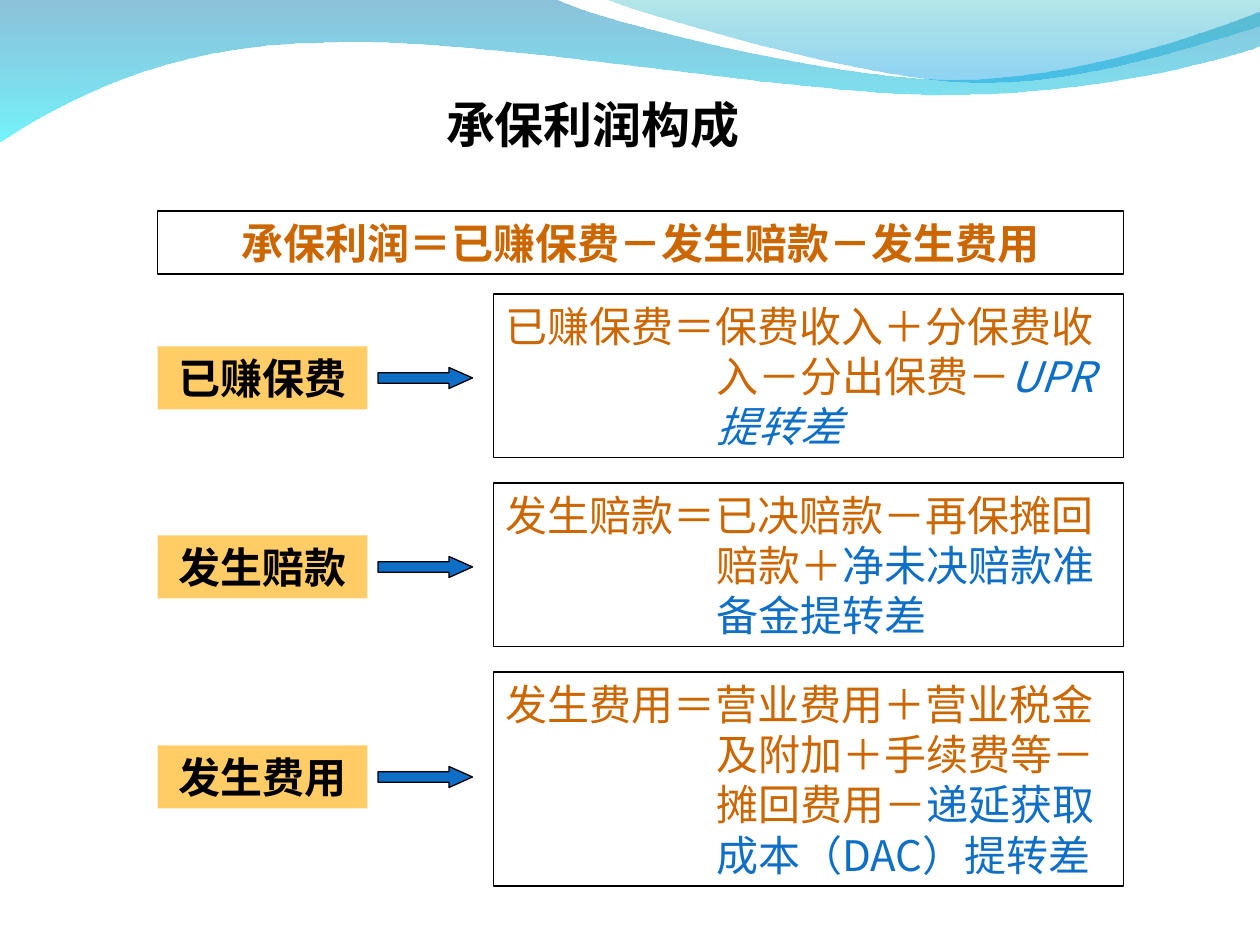
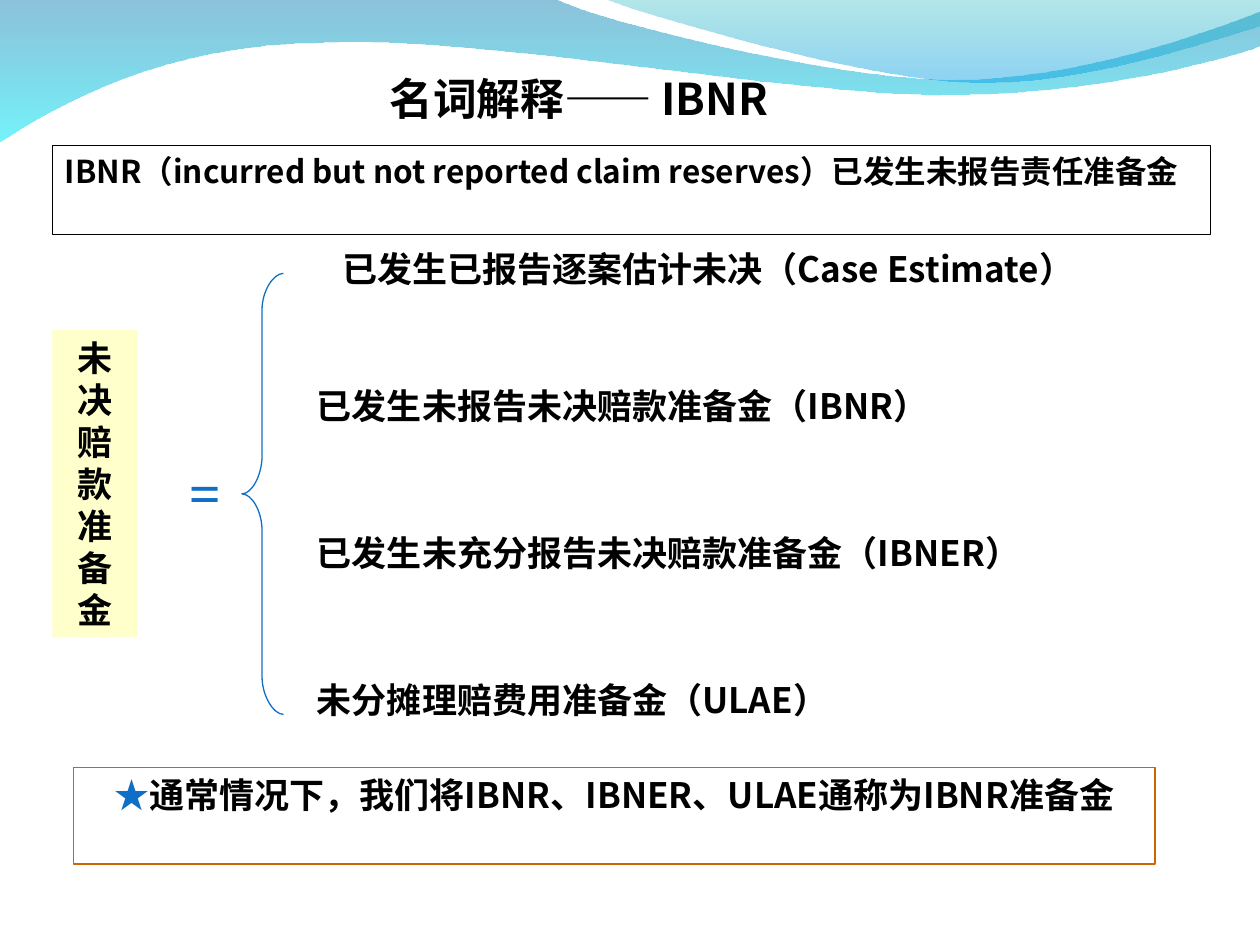
from lxml.etree import Element, SubElement
from pptx import Presentation
from pptx.dml.color import RGBColor
from pptx.enum.shapes import MSO_SHAPE
from pptx.enum.text import MSO_ANCHOR, PP_ALIGN
from pptx.oxml.ns import qn
from pptx.util import Inches, Pt

COLORS = {
    "black": "000000", "white": "FFFFFF", "orange": "CC6600", "blue": "0F6FC6",
    "amber": "FFCC66", "cream": "FFFFCC", "deep": "0079AF", "aqua": "00EBF8",
    "teal": "00ADB6", "sky": "009BE5",
}
FONT = "Noto Sans CJK SC"
WIDTH, HEIGHT = Inches(10), Inches(7.5)
COLUMNS, ROWS = 120, 90

LONG_WAVE = [
    [(0, -0.1)], [(44, -0.1)],
    [(47.6, 1.7), (66.4, 6.3), (75.8, 6.3)],
    [(85.3, 6.3), (95.8, 2.6), (100, 0.9)],
    [(100.1, 3.6)],
    [(98.3, 4.4), (87, 7.6), (74.6, 7.5)],
    [(62.2, 7.5), (38.2, 2.8), (25.7, 3.4)],
    [(12.9, 3.5), (4.6, 8.3), (-0.1, 11.3)],
]
SHORT_WAVE = [
    [(47.9, -0.1)],
    [(50.9, 1.1), (68.2, 6.2), (76.9, 6.5)],
    [(85.6, 6.9), (96.1, 3.2), (100, 2.1)],
    [(100, 0)],
]
BRACE = [
    [(22.5, 21.7)],
    [(21.7, 21.7), (20.8, 23.1), (20.8, 24.6)], [(20.8, 36.2)],
    [(20.8, 37.7), (20, 39.2), (19.2, 39.2)],
    [(20, 39.2), (20.8, 40.6), (20.8, 42.1)], [(20.8, 53.7)],
    [(20.8, 55.2), (21.7, 56.7), (22.5, 56.7)],
]


def color(name):
    return RGBColor.from_string(COLORS[name])


def write(box, text, size=24, font=FONT, ink="black", bold=True,
          align=PP_ALIGN.LEFT, anchor=MSO_ANCHOR.TOP, side=0.1, hanging=0):
    frame = box.text_frame
    frame.word_wrap = True
    frame.vertical_anchor = anchor
    frame.margin_left = frame.margin_right = Inches(side)
    frame.margin_top = Inches(0.05)
    frame.margin_bottom = Inches(0.05 if anchor == MSO_ANCHOR.TOP else 0)
    para = frame.paragraphs[0]
    para.alignment = align
    para.line_spacing = Pt(1.2 * size)
    if hanging:
        properties = para._p.get_or_add_pPr()
        properties.set("marL", str(hanging))
        properties.set("indent", str(-hanging))
    parts = [(text, ink, False)] if isinstance(text, str) else text
    for words, tint, slanted in parts:
        span = para.add_run()
        span.text = words
        span.font.size = Pt(size)
        span.font.bold = bold
        span.font.italic = slanted
        span.font.color.rgb = color(tint)
        span.font.name = font
        SubElement(span._r.get_or_add_rPr(), qn("a:ea"), typeface=font)


class SlideMaker:
    """Holds the deck style and draws elements on the current slide."""

    def __init__(self):
        self.deck = Presentation()
        self.deck.slide_width, self.deck.slide_height = WIDTH, HEIGHT
        self.page = None

    def place(self, column, row, columns, rows):
        return [round(value) for value in (
            column * WIDTH / COLUMNS, row * HEIGHT / ROWS,
            columns * WIDTH / COLUMNS, rows * HEIGHT / ROWS)]

    def new_page(self):
        self.page = self.deck.slides.add_slide(self.deck.slide_layouts[6])
        self.wave(LONG_WAVE, ("deep", 45), ("aqua", 55))
        self.wave(SHORT_WAVE, ("teal", 30), ("sky", 45))

    def outline(self, segments, close):
        scaled = [[(round(x * WIDTH / 100), round(y * WIDTH / 100)) for x, y in segment]
                  for segment in segments]
        start, *ends = [segment[-1] for segment in scaled]
        builder = self.page.shapes.build_freeform(*start)
        builder.add_line_segments(ends, close=close)
        shape = builder.convert_to_shape()
        shape.shadow.inherit = False
        straight = list(shape._element.spPr.iter(qn("a:lnTo")))
        for line, segment in zip(straight, scaled[1:]):
            if len(segment) == 3:
                curve = Element(qn("a:cubicBezTo"))
                for x, y in segment:
                    SubElement(curve, qn("a:pt"), x=str(x - shape.left), y=str(y - shape.top))
                line.getparent().replace(line, curve)
        return shape

    def wave(self, segments, *stops):
        band = self.outline(segments, close=True)
        band.line.fill.background()
        band.fill.gradient()
        band.fill.gradient_angle = 270
        for stop, (name, _) in zip(band.fill.gradient_stops, stops):
            stop.color.rgb = color(name)
        for tint, (_, opacity) in zip(band._element.spPr.iter(qn("a:srgbClr")), stops):
            SubElement(tint, qn("a:alpha"), val=str(opacity * 1000))

    def brace(self):
        brace = self.outline(BRACE, close=False)
        brace.fill.background()
        brace.line.color.rgb = color("blue")
        brace.line.width = Pt(0.75)

    def shape(self, cells, kind=MSO_SHAPE.RECTANGLE, fill=None, line=None):
        shape = self.page.shapes.add_shape(kind, *self.place(*cells))
        shape.shadow.inherit = False
        if fill:
            shape.fill.solid()
            shape.fill.fore_color.rgb = color(fill)
        else:
            shape.fill.background()
        if line:
            shape.line.color.rgb = color(line)
            shape.line.width = Pt(0.75)
        else:
            shape.line.fill.background()
        return shape

    def panel(self, cells, text, fill=None, line=None, **style):
        write(self.shape(cells, fill=fill, line=line), text, **style)

    def label(self, cells, text, **style):
        write(self.page.shapes.add_textbox(*self.place(*cells)), text, **style)

    def arrow(self, cells):
        arrow = self.shape(cells, MSO_SHAPE.RIGHT_ARROW, "blue", "black")
        arrow.adjustments[0] = 0.5
        arrow.adjustments[1] = 1.12


def profit_page(maker):
    maker.new_page()
    maker.label((41.3, 8.4, 36.6, 6.8), "承保利润构成", size=28)
    maker.panel((15, 20.1, 92, 6), "承保利润＝已赚保费－发生赔款－发生费用",
                line="black", ink="orange", align=PP_ALIGN.CENTER)
    formulas = [
        ("已赚保费", 33, 28, 15.6, "保费收入＋分保费收入－分出保费－", "UPR提转差", True),
        ("发生赔款", 51, 46, 15.6, "已决赔款－再保摊回赔款＋", "净未决赔款准备金提转差", False),
        ("发生费用", 71, 64, 20.4, "营业费用＋营业税金及附加＋手续费等－摊回费用－",
         "递延获取成本（DAC）提转差", False),
    ]
    for name, row, top, rows, terms, reserve, slanted in formulas:
        maker.panel((15, row, 20, 6), name, fill="amber", align=PP_ALIGN.CENTER)
        maker.arrow((36, row + 2, 9, 2))
        maker.panel((47, top, 60, rows),
                    [(f"{name}＝{terms}", "orange", False), (reserve, "blue", slanted)],
                    line="black", bold=False, hanging=Inches(1.67))


def reserve_page(maker):
    maker.new_page()
    maker.panel((5, 31.45, 8.1, 29.25), "未决赔款准备金", fill="cream", size=20,
                align=PP_ALIGN.CENTER)
    maker.label((16, 43, 7, 7.7), "=", size=32, font="Times New Roman", ink="blue",
                align=PP_ALIGN.CENTER)
    maker.brace()
    reserves = [
        (23, 76.9, "已发生已报告逐案估计未决（Case Estimate）", PP_ALIGN.CENTER),
        (36, 76.9, "已发生未报告未决赔款准备金（IBNR）", PP_ALIGN.LEFT),
        (50, 77.9, "已发生未充分报告未决赔款准备金（IBNER）", PP_ALIGN.LEFT),
        (64, 77.9, "未分摊理赔费用准备金（ULAE）", PP_ALIGN.LEFT),
    ]
    for row, columns, name, align in reserves:
        maker.panel((29, row, columns, 5.3), name, fill="white", size=20, align=align)
    maker.panel((7, 73.1, 103, 9.2),
                [("★", "blue", False),
                 ("通常情况下，我们将IBNR、IBNER、ULAE通称为IBNR准备金", "black", False)],
                line="orange", size=20, align=PP_ALIGN.CENTER)
    maker.label((37.1, 7.5, 38.8, 4.3), "名词解释—— IBNR", size=25, side=0,
                anchor=MSO_ANCHOR.BOTTOM)
    maker.panel((5, 13.87, 110.3, 8.45),
                "IBNR（incurred but not reported claim reserves）已发生未报告责任准备金",
                line="black", size=18)


def main():
    maker = SlideMaker()
    profit_page(maker)
    reserve_page(maker)
    maker.deck.save("out.pptx")


if __name__ == "__main__":
    main()
